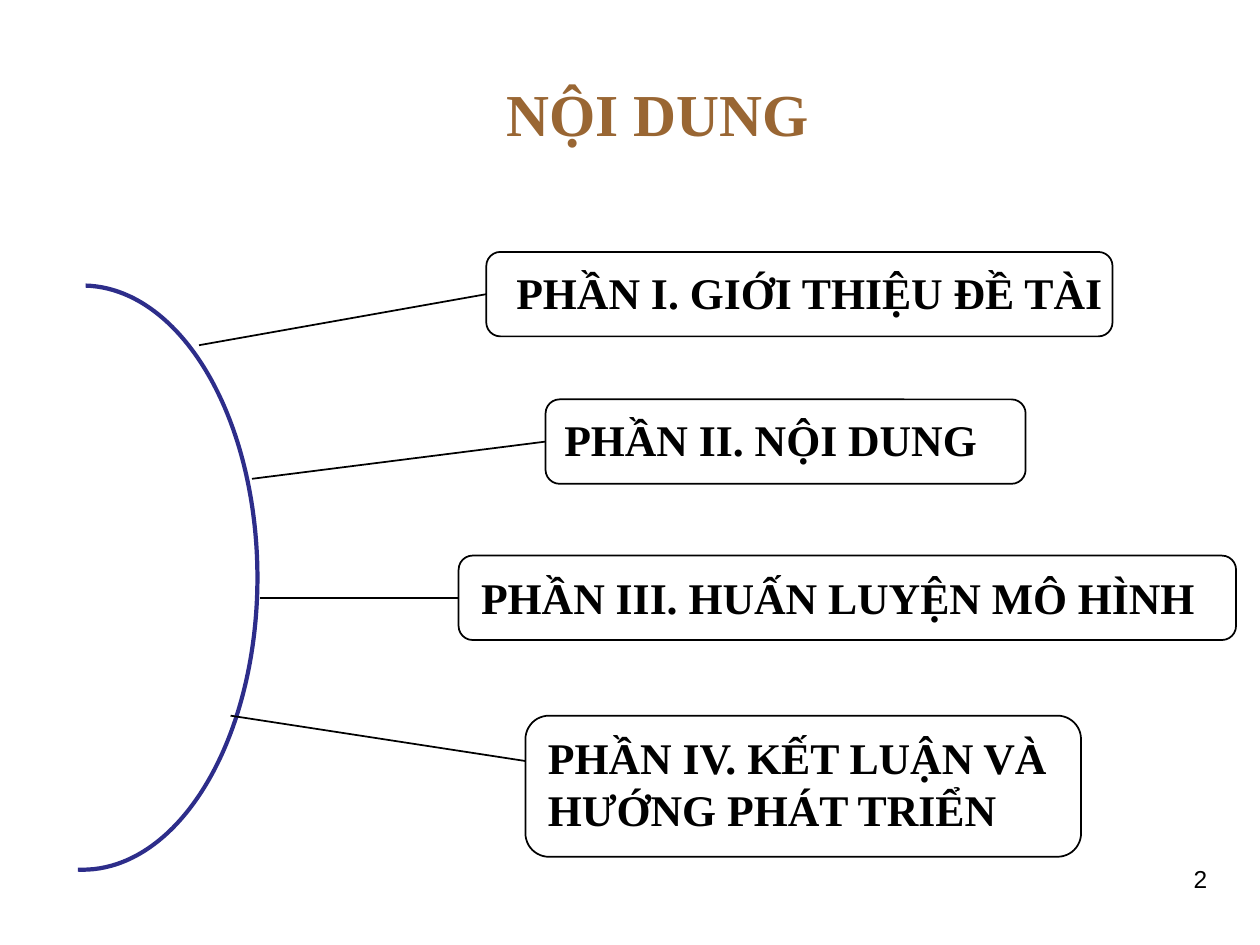
from dataclasses import dataclass

from lxml import etree
from pptx import Presentation
from pptx import util as u
from pptx.dml.color import RGBColor
from pptx.enum import shapes, text
from pptx.oxml.ns import qn

BLACK = "000000"
BROWN = "996633"
NAVY = "2D2D8A"
SERIF = "Times New Roman"


@dataclass(frozen=True)
class Area:
    left: float
    top: float
    width: float
    height: float

    def lengths(self) -> tuple:
        return tuple(map(u.Inches, (self.left, self.top, self.width, self.height)))


@dataclass(frozen=True)
class Style:
    size: float
    font: str = SERIF
    color: str = BLACK
    bold: bool = True
    align: text.PP_ALIGN = text.PP_ALIGN.LEFT
    anchor: text.MSO_ANCHOR = text.MSO_ANCHOR.TOP
    grow: bool = False


@dataclass(frozen=True)
class Section:
    lines: tuple[str, ...]
    frame: Area
    label: Area
    line_start: tuple[float, float]
    line_width: float = 1
    line_end: tuple[float, float] | None = None  # None joins the frame's left side


TITLE = Style(34, color=BROWN, anchor=text.MSO_ANCHOR.MIDDLE)
LABEL = Style(25, grow=True)
NUMBER = Style(14, font="Arial", bold=False, align=text.PP_ALIGN.RIGHT)

SECTIONS = (
    Section(("PHẦN I. GIỚI THIỆU ĐỀ TÀI",),
            Area(3.86, 2, 4.97, 0.67), Area(4, 2.06, 5, 0.52), (1.58, 2.74)),
    Section(("PHẦN II. NỘI DUNG",),
            Area(4.33, 3.17, 3.81, 0.67), Area(4.38, 3.23, 3.61, 0.94), (2, 3.8)),
    Section(("PHẦN III. HUẤN LUYỆN MÔ HÌNH",),
            Area(3.64, 4.41, 6.17, 0.67), Area(3.72, 4.48, 6.07, 0.94),
            (2.06, 4.745), line_width=1.5),
    Section(("PHẦN IV. KẾT LUẬN VÀ", "HƯỚNG PHÁT TRIỂN"),
            Area(4.17, 5.68, 4.41, 1.12), Area(4.25, 5.75, 4.42, 0.94),
            (1.83, 5.68), line_end=(4.17, 6.04)),
)


def rgb(value: str) -> RGBColor:
    return RGBColor.from_string(value)


def add_text(parent, area: Area, lines: tuple[str, ...], style: Style) -> None:
    box = parent.add_textbox(*area.lengths())
    frame = box.text_frame
    frame.word_wrap = True
    frame.vertical_anchor = style.anchor
    if style.grow:
        frame.auto_size = text.MSO_AUTO_SIZE.SHAPE_TO_FIT_TEXT
    for index, line in enumerate(lines):
        para = frame.add_paragraph() if index else frame.paragraphs[0]
        para.alignment = style.align
        span = para.add_run()
        span.text = line
        span.font.name = style.font
        span.font.size = u.Pt(style.size)
        span.font.bold = style.bold
        span.font.color.rgb = rgb(style.color)


def add_arc(page) -> None:
    arc = page.shapes.add_shape(
        shapes.MSO_SHAPE.BLOCK_ARC, *Area(-1.68, 3.18, 4.67, 2.81).lengths())
    arc.rotation = 90
    for index, value in enumerate((108.355, 0.55, 0.012)):
        arc.adjustments[index] = value
    arc.shadow.inherit = False
    arc.fill.solid()
    arc.fill.fore_color.rgb = rgb(NAVY)
    arc.line.fill.background()


def add_section(page, section: Section) -> None:
    group = page.shapes.add_group_shape()
    frame = group.shapes.add_shape(
        shapes.MSO_SHAPE.ROUNDED_RECTANGLE, *section.frame.lengths())
    frame.shadow.inherit = False
    frame.fill.background()
    frame.line.color.rgb = rgb(BLACK)
    frame.line.width = u.Pt(1)
    add_text(group.shapes, section.label, section.lines, LABEL)

    end = section.line_end or section.line_start
    line = page.shapes.add_connector(
        shapes.MSO_CONNECTOR.STRAIGHT, *map(u.Inches, section.line_start + end))
    if section.line_end is None:
        line.end_connect(frame, 1)
    line.line.color.rgb = rgb(BLACK)
    line.line.width = u.Pt(section.line_width)
    etree.SubElement(line._element.spPr, qn("a:effectLst"))


def main() -> None:
    deck = Presentation()
    deck.slide_width, deck.slide_height = u.Inches(10), u.Inches(7.5)
    page = deck.slides.add_slide(deck.slide_layouts[6])
    add_text(page.shapes, Area(3.92, 0.38, 2.81, 1.03), ("NỘI DUNG",), TITLE)
    add_arc(page)
    for section in SECTIONS:
        add_section(page, section)
    add_text(page.shapes, Area(7.35, 6.81, 2.33, 0.6), ("2",), NUMBER)
    deck.save("out.pptx")


if __name__ == "__main__":
    main()
